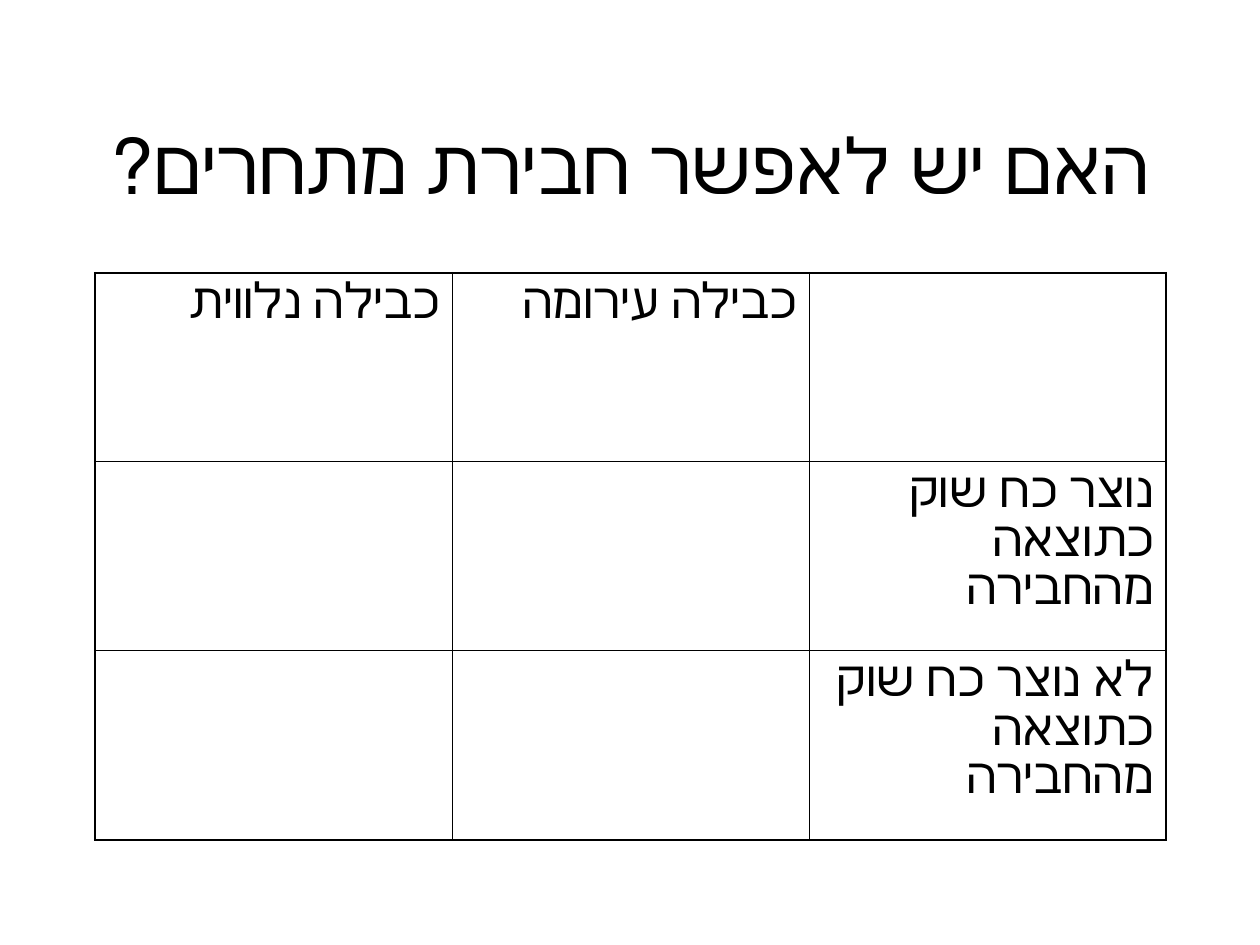
from lxml import etree
from pptx import Presentation
from pptx import util as u
from pptx.dml.color import RGBColor
from pptx.enum import text
from pptx.oxml.ns import qn

BLACK = RGBColor(0x00, 0x00, 0x00)
WHITE = RGBColor(0xFF, 0xFF, 0xFF)
OUTER, INNER = 1.08, 0.45

QUESTION = "האם יש לאפשר חבירת מתחרים?"
MATRIX = [
    ["כבילה נלווית", "כבילה עירומה", ""],
    ["", "", "נוצר כח שוק כתוצאה מהחבירה"],
    ["", "", "לא נוצר כח שוק כתוצאה מהחבירה"],
]


class HebrewSlide:
    font_name = "Times New Roman"
    left, width = u.Cm(1.91), u.Cm(21.6)

    def __init__(self, deck):
        self.slide = deck.slides.add_slide(deck.slide_layouts[5])
        self.slide.background.fill.solid()
        self.slide.background.fill.fore_color.rgb = WHITE

    def set_hebrew(self, frame, wording, size, alignment):
        """Put one right-to-left paragraph in the frame."""
        frame.text = wording
        paragraph = frame.paragraphs[0]
        paragraph.alignment = alignment
        paragraph._p.get_or_add_pPr().set("rtl", "1")
        paragraph.font.size = u.Pt(size)
        paragraph.font.name = self.font_name
        paragraph.font.color.rgb = BLACK

    def title(self, wording):
        heading = self.slide.shapes.title
        heading.left, heading.top = self.left, u.Cm(1.7)
        heading.width, heading.height = self.width, u.Cm(3.18)
        heading.text_frame.vertical_anchor = text.MSO_ANCHOR.MIDDLE
        self.set_hebrew(heading.text_frame, wording, 44, text.PP_ALIGN.CENTER)

    def border(self, cell, side, points):
        line = etree.SubElement(cell._tc.get_or_add_tcPr(), qn(f"a:ln{side}"),
                                w=str(u.Pt(points)))
        fill = etree.SubElement(line, qn("a:solidFill"))
        etree.SubElement(fill, qn("a:srgbClr"), val=str(BLACK))

    def table(self, rows):
        last_row, last_column = len(rows) - 1, len(rows[0]) - 1
        grid = self.slide.shapes.add_table(
            len(rows), len(rows[0]), self.left, u.Cm(5.5),
            self.width, u.Cm(11.43)).table
        grid.first_row = grid.horz_banding = False
        for r, row in enumerate(rows):
            for c, wording in enumerate(row):
                cell = grid.cell(r, c)
                edges = {"L": c == 0, "R": c == last_column,
                         "T": r == 0, "B": r == last_row}
                for side, is_outer in edges.items():
                    self.border(cell, side, OUTER if is_outer else INNER)
                cell.fill.background()
                if wording:
                    self.set_hebrew(cell.text_frame, wording, 28,
                                    text.PP_ALIGN.RIGHT)


def main():
    deck = Presentation()
    deck.slide_width, deck.slide_height = u.Cm(25.4), u.Cm(19.05)
    page = HebrewSlide(deck)
    page.title(QUESTION)
    page.table(MATRIX)
    deck.save("out.pptx")


if __name__ == "__main__":
    main()
